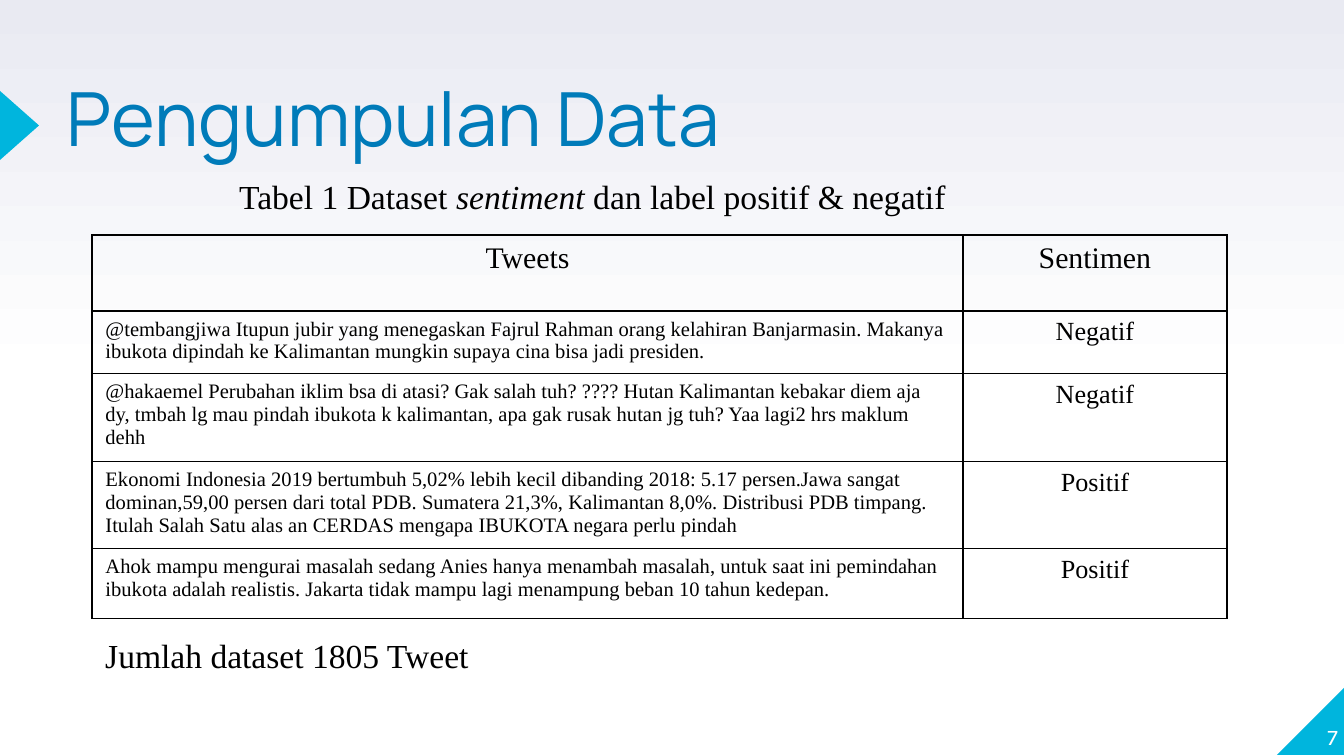
from lxml import etree
from pptx import Presentation
from pptx import util as u
from pptx.dml.color import RGBColor
from pptx.enum import shapes, text
from pptx.oxml import ns

SCALE = 914400 / 134.4  # EMU per px

BLACK = RGBColor(0, 0, 0)
WHITE = RGBColor(255, 255, 255)
CYAN = RGBColor(0x00, 0xB5, 0xDD)
BLUE = RGBColor(0x00, 0x7B, 0xB9)
MIST = RGBColor(0xE9, 0xEA, 0xF2)

SERIF = "Times New Roman"
LEFT, MID, RIGHT = text.PP_ALIGN.LEFT, text.PP_ALIGN.CENTER, text.PP_ALIGN.RIGHT
NO_PAD = dict.fromkeys(
    ("margin_left", "margin_top", "margin_right", "margin_bottom"), 0)

COLS = [871, 264]
ROWS = [76, 59, 82, 82, 70]
TWEETS = [
    ("@tembangjiwa Itupun jubir yang menegaskan Fajrul Rahman orang kelahiran "
     "Banjarmasin. Makanya ibukota dipindah ke Kalimantan mungkin supaya cina "
     "bisa jadi presiden.", "Negatif"),
    ("@hakaemel Perubahan iklim bsa di atasi? Gak salah tuh? ???? Hutan "
     "Kalimantan kebakar diem aja dy, tmbah lg mau pindah ibukota k kalimantan, "
     "apa gak rusak hutan jg tuh? Yaa lagi2 hrs maklum dehh", "Negatif"),
    ("Ekonomi Indonesia 2019 bertumbuh 5,02% lebih kecil dibanding 2018: 5.17 "
     "persen.Jawa sangat dominan,59,00 persen dari total PDB. Sumatera 21,3%, "
     "Kalimantan 8,0%. Distribusi PDB timpang. Itulah Salah Satu alas an CERDAS "
     "mengapa IBUKOTA negara perlu pindah", "Positif"),
    ("Ahok mampu mengurai masalah sedang Anies hanya menambah masalah, untuk "
     "saat ini pemindahan ibukota adalah realistis. Jakarta tidak mampu lagi "
     "menampung beban 10 tahun kedepan.", "Positif"),
]


def px(*vals):
    return [u.Emu(round(v * SCALE)) for v in vals]


def apply(obj, fmt):
    for key, val in fmt.items():
        setattr(obj, key, val)


def write(frame, runs, size, name=SERIF, color=BLACK, align=LEFT):
    """Fill the first paragraph with (wording, italic) runs."""
    para = frame.paragraphs[0]
    para.alignment = align
    for words, slant in runs:
        run = para.add_run()
        run.text = words
        apply(run.font, {"size": u.Pt(size), "name": name, "italic": slant})
        run.font.color.rgb = color
    return para


def paint(slide):
    fill = slide.background.fill
    fill.gradient()
    fill.gradient_angle = 90
    for stop, pos, color in zip(fill.gradient_stops, (0.5, 1), (WHITE, MIST)):
        stop.position = pos
        stop.color.rgb = color


def wedge(slide, kind, box):
    shape = slide.shapes.add_shape(kind, *px(*box))
    shape.shadow.inherit = False
    shape.fill.solid()
    shape.fill.fore_color.rgb = CYAN
    shape.line.fill.background()
    return shape


def label(slide, box, runs, size, fmt=None, **look):
    frame = slide.shapes.add_textbox(*px(*box)).text_frame
    apply(frame, {"word_wrap": True, **(fmt or {})})
    write(frame, runs, size, **look)


def head(slide, words):
    title = slide.shapes.title
    apply(title, dict(zip(("left", "top", "width", "height"),
                          px(67, 89, 829, 68))))
    apply(title.text_frame, {
        **NO_PAD, "word_wrap": True, "auto_size": text.MSO_AUTO_SIZE.NONE,
        "vertical_anchor": text.MSO_ANCHOR.TOP})
    para = write(title.text_frame, [(words, False)], 40, "Manrope", BLUE)
    para.line_spacing = 0.8


def frame_cell(cell):
    props = cell._tc.get_or_add_tcPr()
    for i, side in enumerate(("lnL", "lnR", "lnT", "lnB")):
        line = etree.Element(ns.qn(f"a:{side}"), w=str(u.Pt(0.75)))
        fill = etree.SubElement(line, ns.qn("a:solidFill"))
        etree.SubElement(fill, ns.qn("a:srgbClr"), val=str(BLACK))
        props.insert(i, line)


def grid(slide):
    box = px(92, 235, sum(COLS), sum(ROWS))
    table = slide.shapes.add_table(len(ROWS), len(COLS), *box).table
    apply(table, {"first_row": False, "horz_banding": False})
    for col, wide in zip(table.columns, px(*COLS)):
        col.width = wide
    for row, high in zip(table.rows, px(*ROWS)):
        row.height = high
    for r, pair in enumerate([("Tweets", "Sentimen"), *TWEETS]):
        for c, words in enumerate(pair):
            cell = table.cell(r, c)
            cell.fill.background()
            frame_cell(cell)
            size = 16 if r == 0 else (11, 14)[c]
            align = LEFT if r and c == 0 else MID
            write(cell.text_frame, [(words, False)], size, align=align)


def main():
    deck = Presentation()
    deck.slide_width, deck.slide_height = px(1344, 756)
    slide = deck.slides.add_slide(deck.slide_layouts[5])
    paint(slide)

    # Corner and title marker
    corner = wedge(slide, shapes.MSO_SHAPE.RIGHT_TRIANGLE, (1277, 687, 68, 68))
    corner._element.spPr.xfrm.set("flipH", "1")
    mark = wedge(slide, shapes.MSO_SHAPE.ISOSCELES_TRIANGLE, (-15, 106, 69, 39))
    mark.rotation = 90

    # Slide number
    label(slide, (1271, 681, 67, 69), [("7", False)], 12,
          {**NO_PAD, "vertical_anchor": text.MSO_ANCHOR.BOTTOM},
          name="Karla", color=WHITE, align=RIGHT)

    # Title, table with caption, and total
    head(slide, "Pengumpulan Data")
    grid(slide)
    label(slide, (226, 169, 952, 54),
          [("Tabel 1 Dataset ", False), ("sentiment", True),
           (" dan label positif & negatif", False)], 18)
    label(slide, (92, 628, 952, 54), [("Jumlah dataset 1805 Tweet", False)], 18)

    deck.save("out.pptx")


if __name__ == "__main__":
    main()
